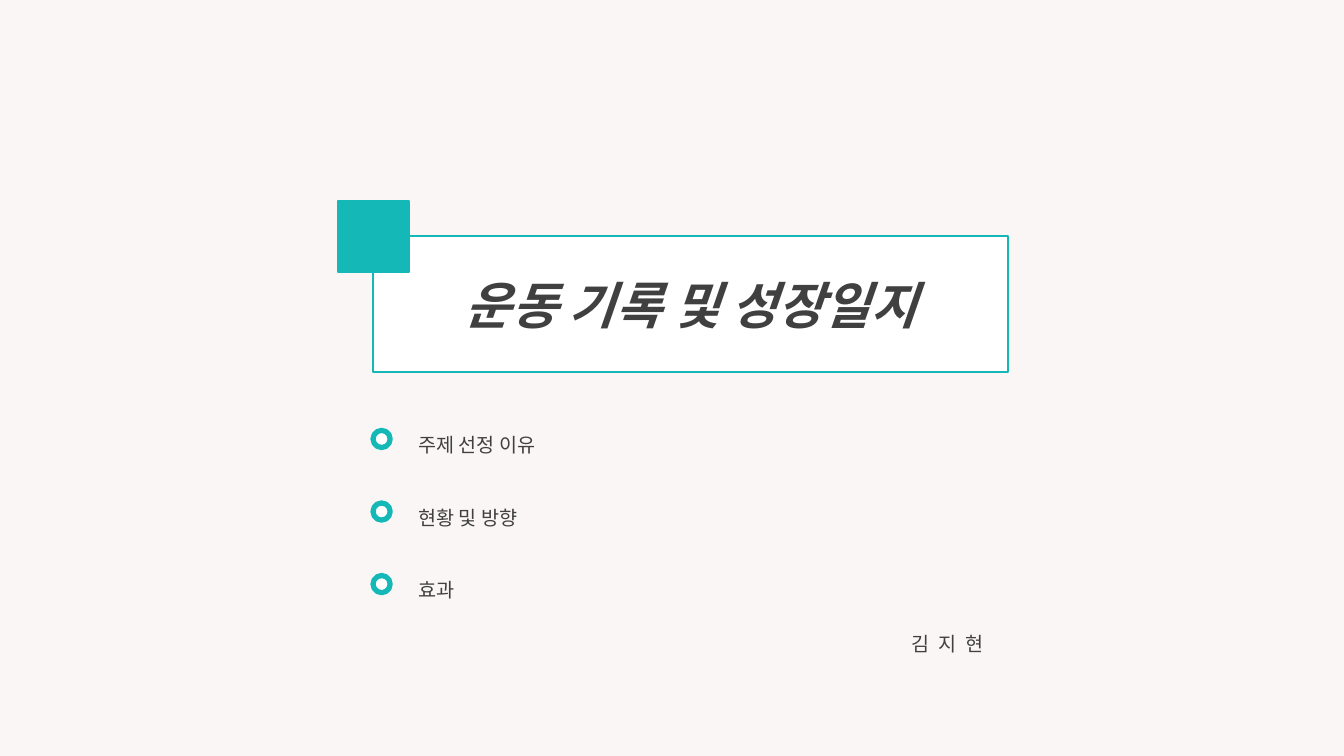
import pptx
import pptx.util
import pptx.dml.color
import pptx.enum.shapes
import pptx.enum.text
import pptx.oxml.ns
import lxml.etree

RGBColor = pptx.dml.color.RGBColor
Shape = pptx.enum.shapes.MSO_SHAPE
PX = 9144
FONT = "Noto Sans CJK KR"
PAPER = RGBColor(0xF9, 0xF6, 0xF5)
WHITE = RGBColor(0xFF, 0xFF, 0xFF)
TEAL = RGBColor(0x14, 0xB9, 0xB7)
INK = RGBColor(0x40, 0x40, 0x40)
TOPICS = [("주제 선정 이유", 152), ("현황 및 방향", 132), ("효과", 59)]


def box_px(x, y, w, h):
    return [pptx.util.Emu(v * PX) for v in (x, y, w, h)]


def add_outlined(shapes, kind, x, y, w, h, fill, line_width):
    sp = shapes.add_shape(kind, *box_px(x, y, w, h))
    sp.shadow.inherit = False
    sp.fill.solid()
    sp.fill.fore_color.rgb = fill
    sp.line.color.rgb = TEAL
    sp.line.width = pptx.util.Pt(line_width)
    return sp


def set_text(p, text, size):
    r = p.add_run()
    r.text = text
    p.font.name = FONT
    p.font.size = pptx.util.Pt(size)
    p.font.color.rgb = INK
    ea = lxml.etree.SubElement(r.font._element, pptx.oxml.ns.qn("a:ea"))
    ea.set("typeface", FONT)
    return r


def add_label(s, text, x, y, w, h):
    tf = s.shapes.add_textbox(*box_px(x, y, w, h)).text_frame
    tf.word_wrap = False
    tf.auto_size = pptx.enum.text.MSO_AUTO_SIZE.SHAPE_TO_FIT_TEXT
    p = tf.paragraphs[0]
    p.line_spacing = 1.5
    return set_text(p, text, 14)


def add_title(s, text, x, y, w, h):
    group = s.shapes.add_group_shape()
    tab = 71
    inset = 35
    frame = add_outlined(group.shapes, Shape.RECTANGLE, x + inset, y + inset,
                         w - inset, h - inset, WHITE, 1.5)
    tf = frame.text_frame
    tf.vertical_anchor = pptx.enum.text.MSO_ANCHOR.MIDDLE
    p = tf.paragraphs[0]
    p.alignment = pptx.enum.text.PP_ALIGN.CENTER
    set_text(p, text, 36)
    p.font.bold = True
    p.font.italic = True
    add_outlined(group.shapes, Shape.RECTANGLE, x, y, tab, tab, TEAL, 1.5)


def add_topics(s, topics, x, y, pitch):
    for i, (text, w) in enumerate(topics):
        top = y + i * pitch
        add_outlined(s.shapes, Shape.OVAL, x, top + 14, 17, 17, WHITE, 3.75)
        add_label(s, text, x + 35, top, w, 41)


def add_author(s, text, x, y, w, h):
    r = add_label(s, text, x, y, w, h)
    r.font._element.set("spc", "160")


def build_cover(prs):
    s = prs.slides.add_slide(prs.slide_layouts[6])
    s.background.fill.solid()
    s.background.fill.fore_color.rgb = PAPER
    add_title(s, "운동 기록 및 성장일지", 335, 199, 665, 170)
    add_topics(s, TOPICS, 370, 413, 72)
    add_author(s, "김 지 현", 894, 610, 106, 41)


def main():
    prs = pptx.Presentation()
    prs.slide_width = pptx.util.Emu(1333 * PX)
    prs.slide_height = pptx.util.Emu(750 * PX)
    build_cover(prs)
    prs.save("out.pptx")


if __name__ == "__main__":
    main()
